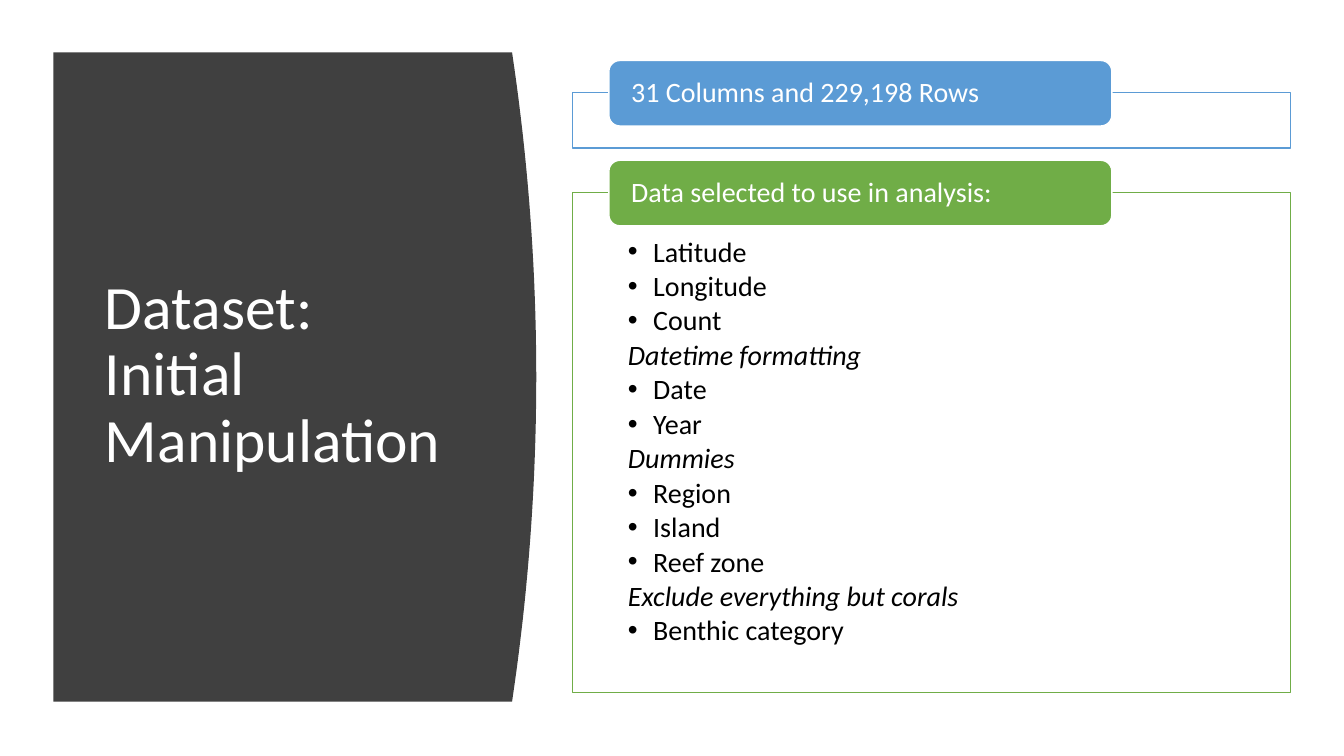
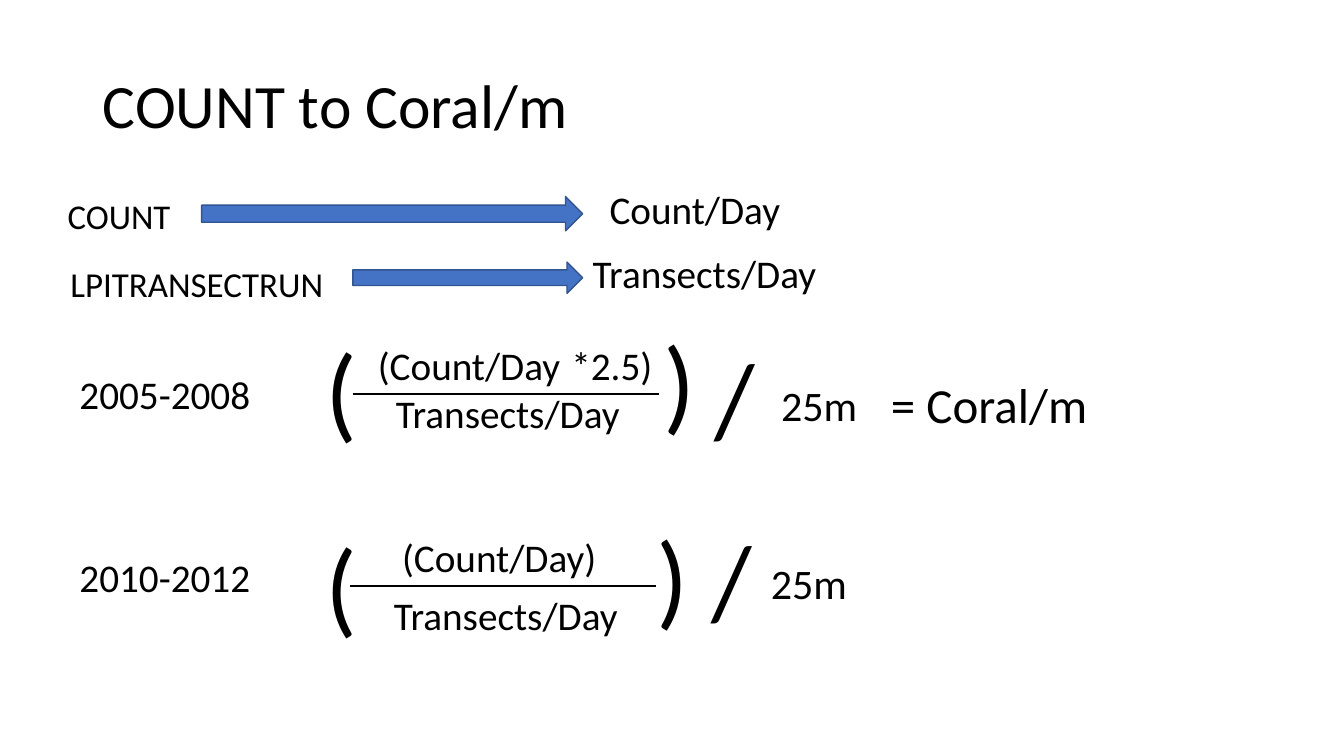
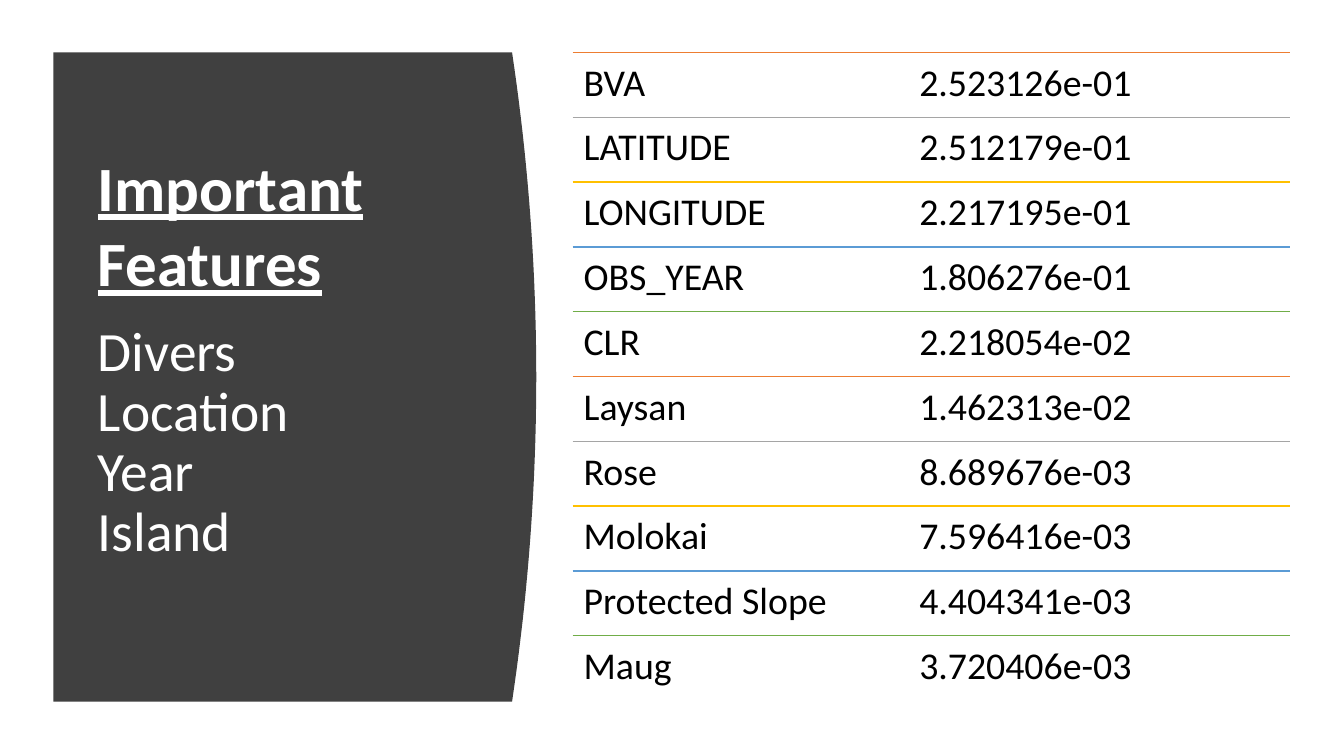
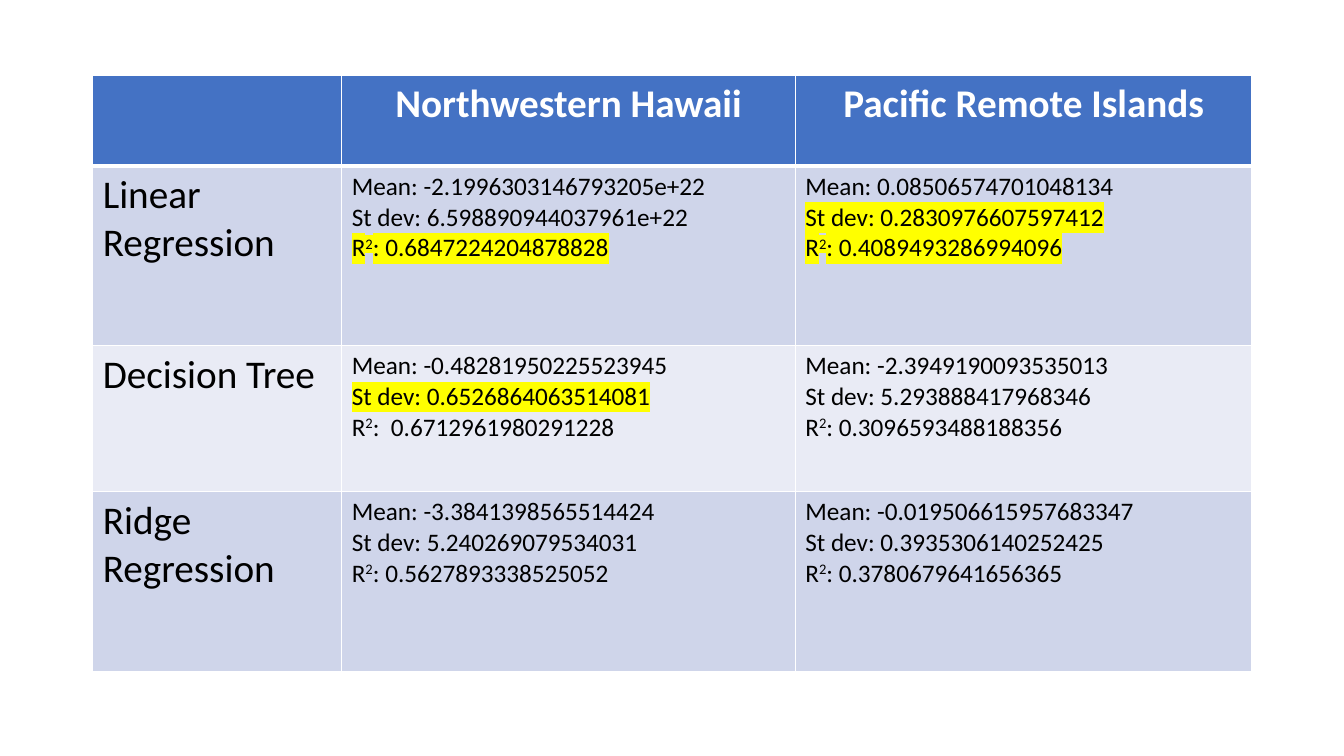
from lxml import etree
from pptx import Presentation
from pptx import util as u
from pptx.dml import color
from pptx.enum import shapes, text
from pptx.oxml import ns

SCALE = 9144
COLORS = {
    "white": "FFFFFF", "black": "000000", "panel": "404040",
    "blue": "4472C4", "dark_blue": "325491", "sky": "5B9BD5",
    "green": "70AD47", "orange": "ED7D31", "gray": "A5A5A5",
    "gold": "FFC000", "yellow": "FFFF00",
    "band": "CFD5EA", "light_band": "E9EBF5",
}
TITLE_ONLY, TITLE_AND_BODY, BLANK = 5, 1, 6
DEFAULT_INSETS = (10, 5, 10, 5)


def px(value):
    return u.Emu(round(value * SCALE))


def rgb(name):
    return color.RGBColor.from_string(COLORS[name])


def add_xml(parent, tag, **attributes):
    return etree.SubElement(parent, ns.qn(tag), **attributes)


class Deck:
    font = "Calibri"
    title_size = 44

    def __init__(self):
        self.presentation = Presentation()
        self.presentation.slide_width = u.Inches(13.333)
        self.presentation.slide_height = u.Inches(7.5)
        self.slide = None

    def new_slide(self, layout):
        layouts = self.presentation.slide_layouts
        self.slide = self.presentation.slides.add_slide(layouts[layout])

    def run(self, paragraph, words, size, ink="black", bold=False, italic=False,
            underline=False, highlight=None, superscript=False):
        run = paragraph.add_run()
        run.text = words
        font = run.font
        font.size, font.bold, font.italic = u.Pt(size), bold, italic
        font.underline = underline
        font.color.rgb = rgb(ink)
        properties = run._r.get_or_add_rPr()
        if highlight:
            mark = add_xml(properties, "a:highlight")
            add_xml(mark, "a:srgbClr", val=COLORS[highlight])
        if superscript:
            properties.set("baseline", "30000")
        font.name = self.font

    def paragraph(self, frame, index, spacing=1.0, after=0, align="LEFT",
                  bullet=None, tab=None, hanging=0):
        paragraph = frame.paragraphs[0] if index == 0 else frame.add_paragraph()
        properties = paragraph._p.get_or_add_pPr()
        if tab:
            stops = add_xml(properties, "a:tabLst")
            add_xml(stops, "a:tab", pos=str(px(tab)), algn="l")
        else:
            properties.set("marL", str(px(hanging)))
            properties.set("indent", str(px(-hanging)))
            if bullet:
                add_xml(properties, "a:buFont", typeface="Arial")
                add_xml(properties, "a:buChar", char=bullet)
            else:
                add_xml(properties, "a:buNone")
        paragraph.alignment = getattr(text.PP_ALIGN, align)
        paragraph.line_spacing = spacing
        paragraph.space_before = u.Pt(0)
        paragraph.space_after = u.Pt(after)
        return paragraph

    def frame(self, shape, anchor="TOP", insets=DEFAULT_INSETS):
        frame = shape.text_frame
        frame.word_wrap = True
        frame.auto_size = text.MSO_AUTO_SIZE.NONE
        frame.vertical_anchor = getattr(text.MSO_ANCHOR, anchor)
        (frame.margin_left, frame.margin_top,
         frame.margin_right, frame.margin_bottom) = map(px, insets)
        return frame

    def placeholder(self, index, box, lines, size, ink="black", anchor="TOP",
                    spacing=0.9, **style):
        shape = self.slide.placeholders[index]
        shape.left, shape.top, shape.width, shape.height = map(px, box)
        frame = self.frame(shape, anchor)
        for number, line in enumerate(lines):
            self.run(self.paragraph(frame, number, spacing), line, size, ink, **style)

    def title(self, box, words, ink="black"):
        self.placeholder(0, box, [words], self.title_size, ink, "MIDDLE")

    def label(self, box, words, size, rotation=0, insets=DEFAULT_INSETS, **layout):
        shape = self.slide.shapes.add_textbox(*map(px, box))
        shape.rotation = rotation
        paragraph = self.paragraph(self.frame(shape, insets=insets), 0, **layout)
        self.run(paragraph, words, size)

    def paint(self, shape, fill, line=None):
        shape.shadow.inherit = False
        shape.fill.solid()
        shape.fill.fore_color.rgb = rgb(fill)
        if line:
            shape.line.color.rgb = rgb(line)
            shape.line.width = u.Pt(1)
        else:
            shape.line.fill.background()

    def box(self, kind, box, fill, line):
        preset = getattr(shapes.MSO_SHAPE, kind)
        shape = self.slide.shapes.add_shape(preset, *map(px, box))
        self.paint(shape, fill, line)
        return shape

    def heading_box(self, top, words, fill):
        shape = self.box("ROUNDED_RECTANGLE", (604, top, 499, 65), fill, "white")
        frame = self.frame(shape, "MIDDLE", (19, 0, 19, 0))
        self.run(self.paragraph(frame, 0, 0.9), words, 20, "white")

    def item_box(self, box, line, items):
        frame = self.frame(self.box("RECTANGLE", box, "white", line),
                           insets=(55, 45, 55, 16))
        for index, (words, is_heading) in enumerate(items):
            paragraph = self.paragraph(frame, index, 0.9, 3, hanging=25,
                                       bullet=None if is_heading else "•")
            self.run(paragraph, words, 20, italic=is_heading)

    def line(self, left, right, y, ink, width=1.0):
        connector = self.slide.shapes.add_connector(
            shapes.MSO_CONNECTOR.STRAIGHT, px(left), px(y), px(right), px(y))
        connector.line.color.rgb = rgb(ink)
        connector.line.width = u.Pt(width)
        add_xml(connector._element.spPr, "a:effectLst")

    def side_panel(self):
        left, top, height, edge, bulge, steps = 53, 52, 644, 508, 24, 40
        curve = []
        for step in range(steps + 1):
            offset = 2 * step / steps - 1
            curve.append((px(edge + bulge * (1 - offset ** 2)),
                          px(top + height * step / steps)))
        builder = self.slide.shapes.build_freeform(px(left), px(top))
        builder.add_line_segments(curve + [(px(left), px(top + height))])
        panel = builder.convert_to_shape()
        self.paint(panel, "panel")
        tree = panel._element.getparent()
        tree.remove(panel._element)
        tree.insert(2, panel._element)

    def table(self, left, top, columns, rows):
        shape = self.slide.shapes.add_table(
            len(rows), len(columns), px(left), px(top), px(sum(columns)), px(sum(rows)))
        table = shape.table
        for column, width in zip(table.columns, columns):
            column.width = px(width)
        for row, height in zip(table.rows, rows):
            row.height = px(height)
        return table

    def style_cell(self, cell, fill, heavy=()):
        properties = cell._tc.get_or_add_tcPr()
        for side in "LRTB":
            width = 3 if side in heavy else 1
            border = add_xml(properties, "a:ln" + side, w=str(u.Pt(width)))
            solid = add_xml(border, "a:solidFill")
            add_xml(solid, "a:srgbClr", val=COLORS["white"])
        cell.fill.solid()
        cell.fill.fore_color.rgb = rgb(fill)

    def score_cell(self, cell, scores, marked):
        for index, (name, value) in enumerate(zip(("Mean", "St dev", "R"), scores)):
            paragraph = self.paragraph(cell.text_frame, index)
            mark = "yellow" if name in marked else None
            if name == "R":
                self.run(paragraph, "R", 18, highlight=mark)
                self.run(paragraph, "2", 18, highlight=mark, superscript=True)
                self.run(paragraph, f": {value}", 18, highlight=mark)
            else:
                self.run(paragraph, f"{name}: {value}", 18, highlight=mark)


def dataset_slide(deck):
    deck.new_slide(TITLE_ONLY)
    deck.side_panel()
    deck.title((94, 111, 374, 524), "Dataset: Initial Manipulation", "white")
    deck.item_box((568, 92, 712, 55), "sky", [])
    deck.heading_box(60, "31 Columns and 229,198 Rows", "sky")
    groups = [
        (None, ["Latitude", "Longitude", "Count"]),
        ("Datetime formatting", ["Date", "Year"]),
        ("Dummies", ["Region", "Island", "Reef zone"]),
        ("Exclude everything but corals", ["Benthic category"]),
    ]
    items = []
    for heading, names in groups:
        if heading:
            items.append((heading, True))
        items.extend((name, False) for name in names)
    deck.item_box((568, 191, 712, 496), "green", items)
    deck.heading_box(159, "Data selected to use in analysis:", "green")


def formula_slide(deck):
    deck.new_slide(TITLE_AND_BODY)
    deck.title((92, 35, 1150, 145), "COUNT to Coral/m")
    deck.placeholder(1, (57, 200, 221, 65), ["COUNT"], 24.8, spacing=0.7)
    labels = [
        (595, 179, 194, 57, "Count/Day", 28),
        (60, 255, 310, 52, "LPITRANSECTRUN", 25),
        (578, 242, 271, 57, "Transects/Day", 28),
        (69, 362, 194, 57, "2005-2008", 28),
        (365, 334, 202, 57, "(Count/Day", 28),
        (557, 334, 202, 57, "*2.5)", 28),
        (383, 381, 271, 57, "Transects/Day", 28),
        (765, 372, 130, 61, "25m", 30),
        (874, 367, 231, 69, "= Coral/m", 35),
        (69, 544, 194, 57, "2010-2012", 28),
        (389, 524, 335, 57, "(Count/Day)", 28),
        (381, 582, 271, 57, "Transects/Day", 28),
        (755, 548, 130, 61, "25m", 30),
    ]
    for *box, words, size in labels:
        deck.label(box, words, size)
    for left, top, shift in ((350, 391, 0), (347, 581, 3)):
        deck.line(left, left + 304, top, "black", 1.5)
        deck.label((699 - shift, top - 66 - 3 * shift, 75, 136), "/", 75)
    for left, top, rotation in ((313, 317, 0), (313, 510, 0),
                                (643, 330, 180), (636, 523, 180)):
        deck.label((left, top, 57, 136), "(", 75, rotation)
    for box in ((200, 195, 378, 34), (350, 260, 228, 31)):
        deck.box("RIGHT_ARROW", box, "blue", "dark_blue")


def features_slide(deck):
    deck.new_slide(TITLE_AND_BODY)
    deck.side_panel()
    deck.placeholder(0, (87, 142, 461, 162), ["Important Features"], 45, "white",
                     spacing=1.0, bold=True, underline=True)
    deck.placeholder(1, (87, 304, 374, 272), ["Divers", "Location", "Year", "Island"],
                     39.6, "white", "MIDDLE")
    features = [
        ("BVA", "2.523126e-01"), ("LATITUDE", "2.512179e-01"),
        ("LONGITUDE", "2.217195e-01"), ("OBS_YEAR", "1.806276e-01"),
        ("CLR", "2.218054e-02"), ("Laysan", "1.462313e-02"),
        ("Rose", "8.689676e-03"), ("Molokai", "7.596416e-03"),
        ("Protected Slope", "4.404341e-03"), ("Maug", "3.720406e-03"),
    ]
    inks = ("orange", "gray", "gold", "sky", "green")
    for index, (name, value) in enumerate(features):
        top = 52 + index * 643 / len(features)
        deck.line(568, 1280, top, inks[index % len(inks)])
        deck.label((568, top, 712, 64), f"{name}\t{value}", 27,
                   insets=(11, 11, 11, 11), spacing=0.9, tab=333)


def results_slide(deck):
    deck.new_slide(BLANK)
    table = deck.table(92, 75, (247, 450, 453), (90, 178, 145, 178))
    headings = ("", "Northwestern Hawaii", "Pacific Remote Islands")
    for cell, words in zip(table.rows[0].cells, headings):
        deck.style_cell(cell, "blue", heavy="B")
        if words:
            paragraph = deck.paragraph(cell.text_frame, 0, align="CENTER")
            deck.run(paragraph, words, 28, "white", bold=True)
    models = [
        ("Linear Regression", "band",
         ("-2.1996303146793205e+22", "6.598890944037961e+22", "0.6847224204878828"),
         ("R",),
         ("0.08506574701048134", "0.2830976607597412", "0.4089493286994096"),
         ("St dev", "R")),
        ("Decision Tree", "light_band",
         ("-0.48281950225523945", "0.6526864063514081", " 0.6712961980291228"),
         ("St dev",),
         ("-2.3949190093535013", "5.293888417968346", "0.3096593488188356"), ()),
        ("Ridge Regression", "band",
         ("-3.3841398565514424", "5.240269079534031", "0.5627893338525052"), (),
         ("-0.019506615957683347", "0.3935306140252425", "0.3780679641656365"), ()),
    ]
    for index, (model, fill, hawaii, hawaii_marks, remote, remote_marks) in enumerate(models, 1):
        cells = list(table.rows[index].cells)
        for cell in cells:
            deck.style_cell(cell, fill, heavy="T" if index == 1 else "")
        deck.run(deck.paragraph(cells[0].text_frame, 0), model, 28)
        deck.score_cell(cells[1], hawaii, hawaii_marks)
        deck.score_cell(cells[2], remote, remote_marks)


def main():
    deck = Deck()
    for build in (dataset_slide, formula_slide, features_slide, results_slide):
        build(deck)
    deck.presentation.save("out.pptx")


if __name__ == "__main__":
    main()
